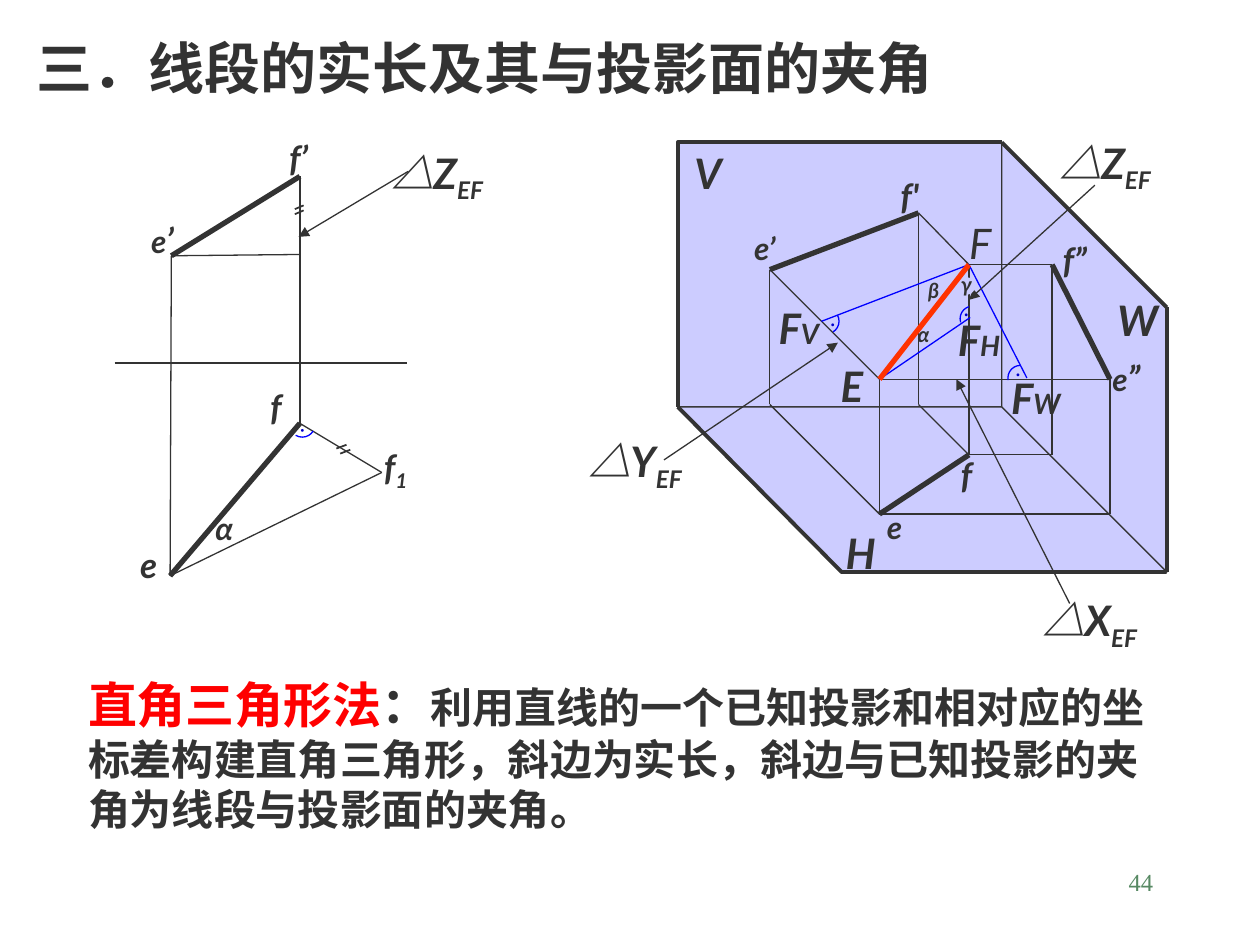
from lxml import etree
from pptx import Presentation
from pptx.dml.color import RGBColor
from pptx.enum import shapes, text
from pptx.oxml.ns import qn
from pptx.util import Inches, Pt

INK, PLANE, BLUE, RED, DOT = "333333", "CCCCFF", "0000FF", "FF3300", "0000CC"
LATIN, CJK, SERIF = "Lato", "Noto Sans CJK SC", "Times New Roman"
THIN, TICK, EDGE, BOLD = 0.75, 1, 2.25, 3

TITLE = "三．线段的实长及其与投影面的夹角"
BODY = [  # text, size, colour
    ("直角三角形法", 28, "FF0000"),
    ("：", 28, INK),
    ("利用直线的一个已知投影和相对应的坐标差构建直角三角形，"
     "斜边为实长，斜边与已知投影的夹角为线段与投影面的夹角。", 24, INK),
]

# Corners of the three projection planes
V1, V2, O, X = (5.38, 1.13), (7.95, 1.13), (7.95, 3.23), (5.38, 3.23)
W1, Y, H1 = (9.26, 2.44), (9.26, 4.54), (6.68, 4.54)
PLANES = [(V1, V2, O, X), (V2, O, Y, W1), (X, O, Y, H1)]
EDGES = [(V2, V1, X), (X, H1, Y)]

# Segment EF in space: v, h, w mark its projections, x and y points on the axes
E, F = (6.98, 3.01), (7.69, 2.1)
Ev, Fv = (6.11, 2.14), (7.29, 1.69)
Eh, Fh = (6.98, 4.08), (7.69, 3.61)
Ew, Fw = (8.81, 3.01), (8.35, 2.1)
Ex, Fx, Ey, Fy = (6.11, 3.21), (7.29, 3.21), (8.81, 4.08), (8.35, 3.61)

# Two-view drawing on the left
e_front, f_front = (1.36, 2.03), (2.38, 1.4)
e_top, f_top, f1 = (1.35, 4.57), (2.38, 3.36), (3.03, 3.75)

LINES = [  # colour, width, segments
    (INK, EDGE, [(V2, W1), (W1, Y)]),
    (INK, THIN, [(F, Fw), (E, Ew), (E, Eh), (E, Ev), (F, Fv), (F, Fh),
                 (Eh, Ex), (Ex, Ev), (Fh, Fx), (Fx, Fv),
                 (Fh, Fy), (Fy, Fw), (Eh, Ey), (Ey, Ew)]),
    (INK, BOLD, [(Eh, Fh), (Fw, Ew), (Ev, Fv)]),
    (BLUE, THIN, [(E, (7.7, 2.52)), (F, (6.52, 2.55)), (F, (8.15, 3))]),
    (RED, BOLD, [(E, F)]),
    (INK, THIN, [(e_front, e_top), (e_front, (2.38, 2.02)), (f_top, f_front),
                 (e_top, f1), (f_top, f1), ((0.91, 2.88), (3.23, 2.88))]),
    (INK, BOLD, [(e_top, f_top), (f_front, e_front)]),
    (INK, TICK, [((2.34, 1.66), (2.41, 1.63)), ((2.34, 1.7), (2.41, 1.67)),
                 ((2.67, 3.56), (2.75, 3.53)), ((2.7, 3.6), (2.78, 3.57))]),
]
ARROWS = [((5.27, 3.65), (6.65, 2.72)), ((8.49, 4.79), (7.59, 3.01)),
          ((8.69, 1.47), (7.69, 2.38)), ((3.24, 1.36), (2.37, 1.88))]

RIGHT_ANGLES = [  # arc centre, start and end angle, dot centre, dot rotation
    ((6.56, 2.55), 330, 58, (6.61, 2.54), 0),
    ((8.1, 3), 170, 270, (8.08, 2.93), 0),
    ((7.72, 2.53), 163, 252, (7.67, 2.46), 0),
    ((2.4, 3.37), 31, 122, (2.44, 3.4), 61.1),
]
ARC_RADIUS = 0.1

LABELS = [  # text, size, centre
    ("V", 24, (5.62, 1.37)), ("W", 24, (9.03, 2.54)), ("H", 24, (6.83, 4.39)),
    ("E", 24, (6.76, 3.06)), ("e’", 18, (6.07, 1.97)), ("e", 18, (7.1, 4.18)),
    ("f”", 20, (8.53, 2.06)), ("f'", 20, (7.22, 1.55)), ("f", 20, (7.67, 3.77)),
    ("α", 12, (7.33, 2.65)), ("β", 12, (7.41, 2.3)), ("γ", 12, (7.67, 2.26)),
    ("f’", 20, (2.37, 1.25)), ("e", 20, (1.18, 4.48)), ("f", 20, (2.19, 3.23)),
    ("α", 18, (1.78, 4.19)),
]
MIXED_E = [("’", (1.29, 1.9)), ("”", (8.94, 3))]
FOOT_LABELS = [("V", (6.34, 2.6)), ("W", (8.22, 3.16)), ("H", (7.77, 2.7))]
DELTAS = [("Y", (5.04, 3.66)), ("X", (8.65, 4.92)),
          ("Z", (8.77, 1.29)), ("Z", (3.47, 1.37))]

prs = Presentation()
prs.slide_width, prs.slide_height = Inches(10), Inches(7.5)
s = prs.slides.add_slide(prs.slide_layouts[6])


def rgb(color):
    return RGBColor.from_string(color)


def style(sp, fill=None, line=None, width=THIN):
    sp.shadow.inherit = False
    if fill:
        sp.fill.solid()
        sp.fill.fore_color.rgb = rgb(fill)
    else:
        sp.fill.background()
    if line:
        sp.line.color.rgb = rgb(line)
        sp.line.width = Pt(width)
    else:
        sp.line.fill.background()


def polyline(points, fill=None, width=THIN, close=False):
    (x, y), *rest = [(Inches(px), Inches(py)) for px, py in points]
    builder = s.shapes.build_freeform(x, y)
    builder.add_line_segments(rest, close=close)
    style(builder.convert_to_shape(), fill, INK, width)


def segment(start, end, color=INK, width=THIN, arrow=False):
    c = s.shapes.add_connector(shapes.MSO_CONNECTOR.STRAIGHT,
                               *map(Inches, start + end))
    c.line.color.rgb = rgb(color)
    c.line.width = Pt(width)
    if arrow:
        etree.SubElement(c.line._get_or_add_ln(), qn("a:tailEnd"), type="triangle")
    etree.SubElement(c._element.spPr, qn("a:effectLst"))


def textbox(box, runs, align=text.PP_ALIGN.LEFT, wrap=True,
            anchor=text.MSO_ANCHOR.MIDDLE):
    """Add one paragraph; a run is (text, size, font, colour, bold, italic, baseline)."""
    sp = s.shapes.add_textbox(*map(Inches, box))
    tf = sp.text_frame
    tf.word_wrap = wrap
    tf.vertical_anchor = anchor
    p = tf.paragraphs[0]
    p.alignment = align
    for words, size, font, color, bold, italic, baseline in runs:
        r = p.add_run()
        r.text = words
        r.font.size, r.font.name = Pt(size), font
        r.font.bold, r.font.italic = bold, italic
        r.font.color.rgb = rgb(color)
        rPr = r._r.get_or_add_rPr()
        etree.SubElement(rPr, qn("a:ea"), typeface=CJK)
        if baseline:
            rPr.set("baseline", str(baseline * 1000))
    return sp


def slanted(words, size, font=LATIN, bold=True, baseline=0):
    return words, size, font, INK, bold, True, baseline


def label(center, *runs):
    """Centre a one-line label on a point, in a box wide enough for its letters."""
    letters = sum(len(r[0]) for r in runs)
    w, h = 0.3 + 0.22 * letters, 0.1 + max(r[1] for r in runs) / 60
    return textbox((center[0] - w / 2, center[1] - h / 2, w, h), runs,
                   text.PP_ALIGN.CENTER, wrap=False, anchor=text.MSO_ANCHOR.TOP)


for corners in PLANES:
    polyline(corners, PLANE, close=True)
for corners in EDGES:
    polyline(corners, width=EDGE)
for color, width, segments in LINES:
    for start, end in segments:
        segment(start, end, color, width)
for start, end in ARROWS:
    segment(start, end, arrow=True)

for (cx, cy), first, last, dot, turn in RIGHT_ANGLES:
    arc = s.shapes.add_shape(
        shapes.MSO_SHAPE.ARC, Inches(cx - ARC_RADIUS), Inches(cy - ARC_RADIUS),
        Inches(2 * ARC_RADIUS), Inches(2 * ARC_RADIUS))
    for i, angle in enumerate((first, last)):
        arc.adjustments[i] = angle * 0.6  # 60000ths of a degree over 100000
    style(arc, line=BLUE)
    label(dot, (".", 10, SERIF, DOT, True, False, 0)).rotation = turn

gamma_patch = s.shapes.add_shape(shapes.MSO_SHAPE.OVAL, Inches(7.61), Inches(2.2),
                                 Inches(0.13), Inches(0.14))
style(gamma_patch, PLANE)

for words, size, center in LABELS:
    label(center, slanted(words, size))
label((7.78, 1.93), slanted("F", 24, bold=False))
label((3.14, 3.7), slanted("f", 20), slanted("1", 20, baseline=-25))
for mark, center in MIXED_E:
    label(center, slanted("e", 18), slanted(mark, 20))
for plane, center in FOOT_LABELS:
    label(center, slanted("F", 24), slanted(plane, 16))
for axis, center in DELTAS:
    label(center, slanted("△", 24, CJK), slanted(axis, 24),
          slanted("EF", 24, baseline=-25))

textbox((0.19, 0.22, 8.81, 0.63), [(TITLE, 32, CJK, INK, True, False, 0)])
textbox((0.6, 5.3, 8.79, 1.37),
        [(words, size, SERIF, color, True, False, 0) for words, size, color in BODY])
textbox((7.17, 6.83, 2.08, 0.5), [("44", 14, SERIF, "578963", False, False, 0)],
        text.PP_ALIGN.RIGHT, anchor=text.MSO_ANCHOR.TOP)

prs.save("out.pptx")
